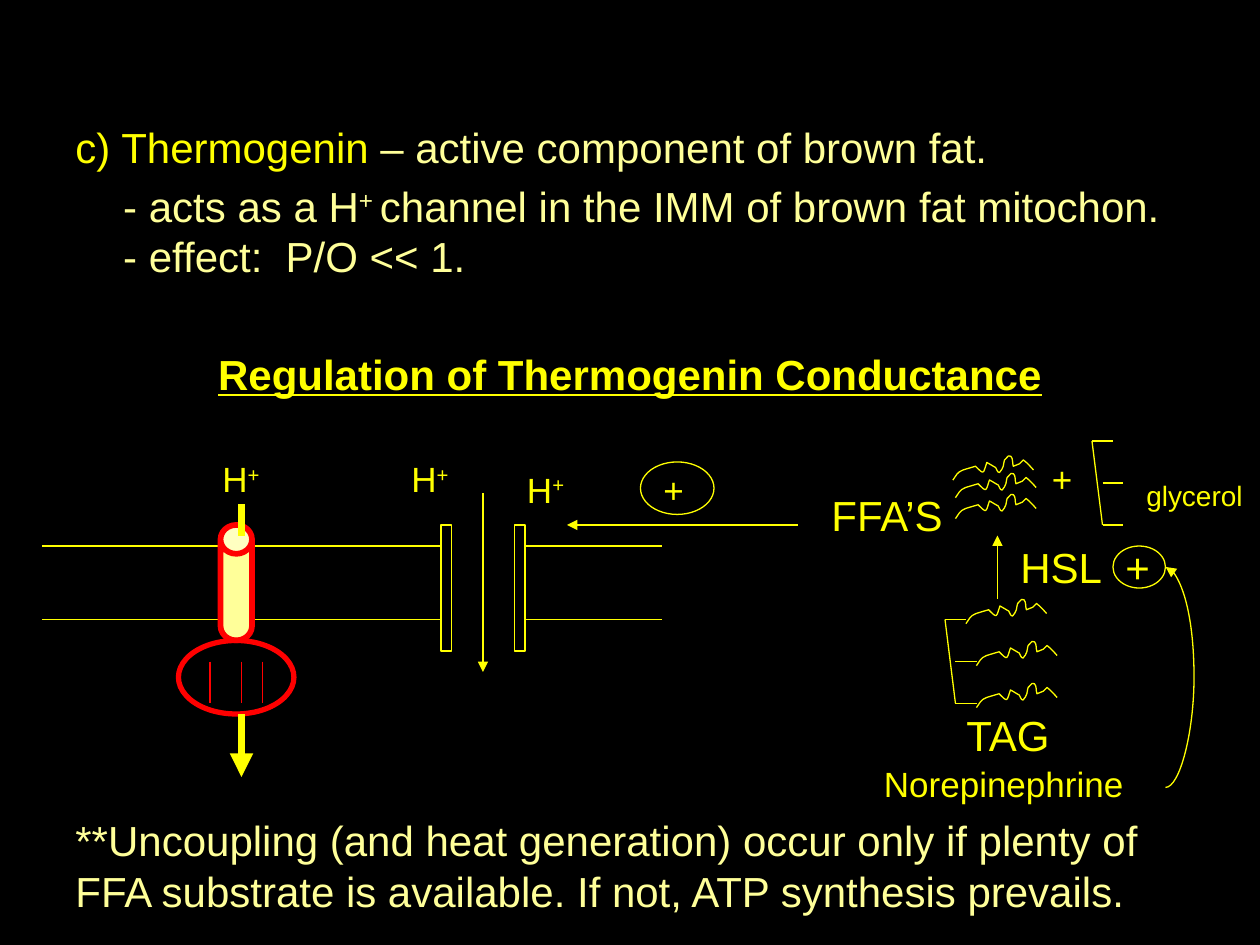
from dataclasses import dataclass
from typing import Any

from lxml.etree import SubElement
from pptx import Presentation
from pptx.dml.color import RGBColor
from pptx.enum.shapes import MSO_CONNECTOR as CONN, MSO_SHAPE as SHAPE
from pptx.enum.text import PP_ALIGN as ALIGN
from pptx.oxml.ns import qn
from pptx.util import Emu, Inches, Pt

COLORS = {"back": "000000", "line": "FFFF00", "body": "FFFF99", "protein": "FF0000"}
UNIT = Inches(1) // 12  # the slide is a grid of 120 columns by 90 rows

# One fatty acid chain: start, then curves of two controls and an end (1/100 inch)
CHAIN_START = (0, 20)
CHAIN_CURVES = [
    ((3, 16), (3, 14), (8, 12)), ((11, 11), (18, 9), (18, 9)),
    ((25, 16), (24, 15), (27, 6)), ((29, 7), (32, 9), (34, 10)),
    ((35, 11), (35, 14), (37, 14)), ((39, 13), (39, 10), (40, 9)),
    ((41, 7), (40, 4), (42, 3)), ((43, 1), (45, 0), (46, 1)),
    ((48, 3), (47, 6), (48, 9)), ((50, 8), (51, 8), (53, 7)),
    ((54, 7), (55, 4), (56, 4)), ((59, 6), (64, 12), (64, 12)),
]


def rgb(name):
    return RGBColor.from_string(COLORS[name])


def bend(freeform):
    """Turn each three straight segments into one cubic curve."""
    segments = list(freeform._element.iter(qn("a:lnTo")))
    for index in range(0, len(segments), 3):
        first, second, end = segments[index:index + 3]
        curve = SubElement(first.getparent(), qn("a:cubicBezTo"))
        for segment in (first, second, end):
            curve.append(segment[0])
            segment.getparent().remove(segment)


def add_runs(paragraph, text, color, size, bold=None):
    """Write the text; a ^ toggles superscript."""
    paragraph.font.size, paragraph.font.name = Pt(size), "Arial"
    paragraph.font.color.rgb, paragraph.font.bold = rgb(color), bold
    for index, part in enumerate(text.split("^")):
        if part:
            run = paragraph.add_run()
            run.text = part
            if index % 2:
                run.font._element.set("baseline", "30000")


@dataclass
class Region:
    """A part of the slide whose lengths count from its own column and row."""
    shapes: Any
    col: float
    row: float

    def place(self, col, row):
        return Emu(int((self.col + col) * UNIT)), Emu(int((self.row + row) * UNIT))

    def box(self, col, row, width, height):
        return *self.place(col, row), Emu(int(width * UNIT)), Emu(int(height * UNIT))

    def line(self, start, end, color="line", width=0.75, arrow=False, kind=CONN.STRAIGHT):
        line = self.shapes.add_connector(kind, *self.place(*start), *self.place(*end))
        line.line.color.rgb, line.line.width = rgb(color), Pt(width)
        if arrow:
            SubElement(line.line._get_or_add_ln(), qn("a:tailEnd"), type="triangle")
        SubElement(line._element.spPr, qn("a:effectLst"))
        return line

    def outline(self, shape, color="line", width=0.75):
        shape.shadow.inherit = False
        shape.fill.background()
        shape.line.color.rgb, shape.line.width = rgb(color), Pt(width)
        return shape

    def shape(self, kind, col, row, width, height, color="line", weight=0.75):
        added = self.shapes.add_shape(kind, *self.box(col, row, width, height))
        return self.outline(added, color, weight)

    def text(self, col, row, width, height):
        frame = self.shapes.add_textbox(*self.box(col, row, width, height)).text_frame
        frame.word_wrap = True
        return frame

    def label(self, text, col, row, width, size=20, color="line", align=ALIGN.LEFT, lines=1):
        paragraph = self.text(col, row, width, 1.2 + lines * size / 5).paragraphs[0]
        paragraph.alignment = align
        add_runs(paragraph, text, color, size)

    def chain(self, col, row):
        left, top = self.place(col, row)
        to_slide = lambda x, y: (left + int(x * Inches(0.01)), top + int(y * Inches(0.01)))
        builder = self.shapes.build_freeform(*to_slide(*CHAIN_START))
        points = [to_slide(*point) for curve in CHAIN_CURVES for point in curve]
        builder.add_line_segments(points, close=False)
        bend(self.outline(builder.convert_to_shape()))

    def glycerol(self, col, row, prongs):
        """Slanted backbone with prongs given as (column, row, length)."""
        self.line((col, row), (col + 1, row + 8))
        for x, y, length in prongs:
            self.line((col + x, row + y), (col + x + length, row + y))


def add_notes(region):
    frame = region.text(0, 0, 108, 25)
    intro = frame.paragraphs[0]
    add_runs(intro, "c) Thermogenin", "line", 24)
    active = intro.add_run()
    active.text = " – active component of brown fat."
    active.font.color.rgb = rgb("body")

    effects = frame.add_paragraph()
    effects._p.get_or_add_pPr().set("marL", str(Inches(0.38)))
    add_runs(effects, "- acts as a H^+ ^channel in the IMM of brown fat mitochon. "
                      "- effect:  P/O << 1.", "body", 24)

    heading = frame.add_paragraph()
    heading.alignment = ALIGN.CENTER
    add_runs(heading, "Regulation of Thermogenin Conductance", "line", 24, bold=True)
    heading.runs[0].font.underline = True
    for paragraph, gap in ((intro, 4.8), (effects, 4.8), (heading, 38.5)):
        paragraph.space_before = Pt(gap)


def add_membrane(region):
    for row in (9, 16):
        for start, end in ((0, 38), (46, 59)):
            region.line((start, row), (end, row))
    # Thermogenin channel
    for col in (38, 45):
        region.shape(SHAPE.RECTANGLE, col, 7, 1, 12)
    region.line((42, 4), (42, 21), arrow=True)
    region.label("H^+", 45, 1, 8)
    region.label("H^+", 34, 0, 8)


def add_atp_synthase(region):
    stalk = region.shape(SHAPE.CAN, 4, 7, 3, 11, "protein", 3.25)
    stalk.adjustments[0] = 0.917
    stalk.fill.solid()
    stalk.fill.fore_color.rgb = rgb("body")
    region.shape(SHAPE.OVAL, 0, 18, 11, 7, "protein", 3)
    for col in (3, 6, 8):
        region.line((col, 20), (col, 24), "protein")
    # Proton flow
    region.line((6, 5), (6, 8), width=4.5)
    region.line((6, 25), (6, 31), width=4.5, arrow=True)
    region.label("H^+", 3, 0, 8)


def add_activation(region):
    region.line((22, 6), (0, 6), arrow=True)
    region.label("+", 8, 0, 8)
    region.shape(SHAPE.OVAL, 7, 0, 7, 5)


def add_free_fatty_acids(region):
    region.label("FFA’S", 0, 4, 14, 24)
    for col, row in ((12.75, 1.33), (13, 3), (13, 5)):
        region.chain(col, row)
    region.label("+", 21, 1, 6)
    region.glycerol(26, 0, ((0, 0, 2), (1, 4, 2), (1, 8, 2)))
    region.label("glycerol", 30, 3, 12, 16)


def add_lipolysis(region):
    region.line((12, 6), (12, 0), arrow=True)
    # Triacylglycerol
    region.glycerol(7, 8, ((0, 0, 2), (1, 4, 2), (1, 8, 2)))
    for col, row in ((9, 6), (10, 10), (10, 14)):
        region.chain(col, row)
    region.label("TAG", 6, 16, 14, 24, align=ALIGN.CENTER)
    # Hormone-sensitive lipase and its activation
    region.label("HSL", 13, 0, 13, 24)
    region.label("+", 23, 0, 5, 24)
    region.shape(SHAPE.OVAL, 23, 1, 5, 4)
    region.label("Norepinephrine", 0, 21, 28)
    # The ends nearly share a column, so the bulge is 144 times the width
    signal = region.line((28, 24), (28.02, 3), arrow=True, kind=CONN.CURVE)
    bulge = signal._element.spPr.find(qn("a:prstGeom")).get_or_add_avLst()
    SubElement(bulge, qn("a:gd"), name="adj1", fmla="val 14400000")


def main():
    deck = Presentation()
    deck.slide_width, deck.slide_height = Inches(10), Inches(7.5)
    slide = deck.slides.add_slide(deck.slide_layouts[6])
    slide.background.fill.solid()
    slide.background.fill.fore_color.rgb = rgb("back")
    for add_region, col, row in (
        (add_notes, 6, 11), (add_membrane, 4, 43), (add_atp_synthase, 17, 43),
        (add_activation, 54, 44), (add_free_fatty_acids, 78, 42), (add_lipolysis, 83, 51),
    ):
        add_region(Region(slide.shapes, col, row))
    Region(slide.shapes, 6, 77).label(
        "**Uncoupling (and heat generation) occur only if plenty of "
        "FFA substrate is available. If not, ATP synthesis prevails.",
        0, 0, 110, 24, "body", lines=2)
    deck.save("out.pptx")


if __name__ == "__main__":
    main()
